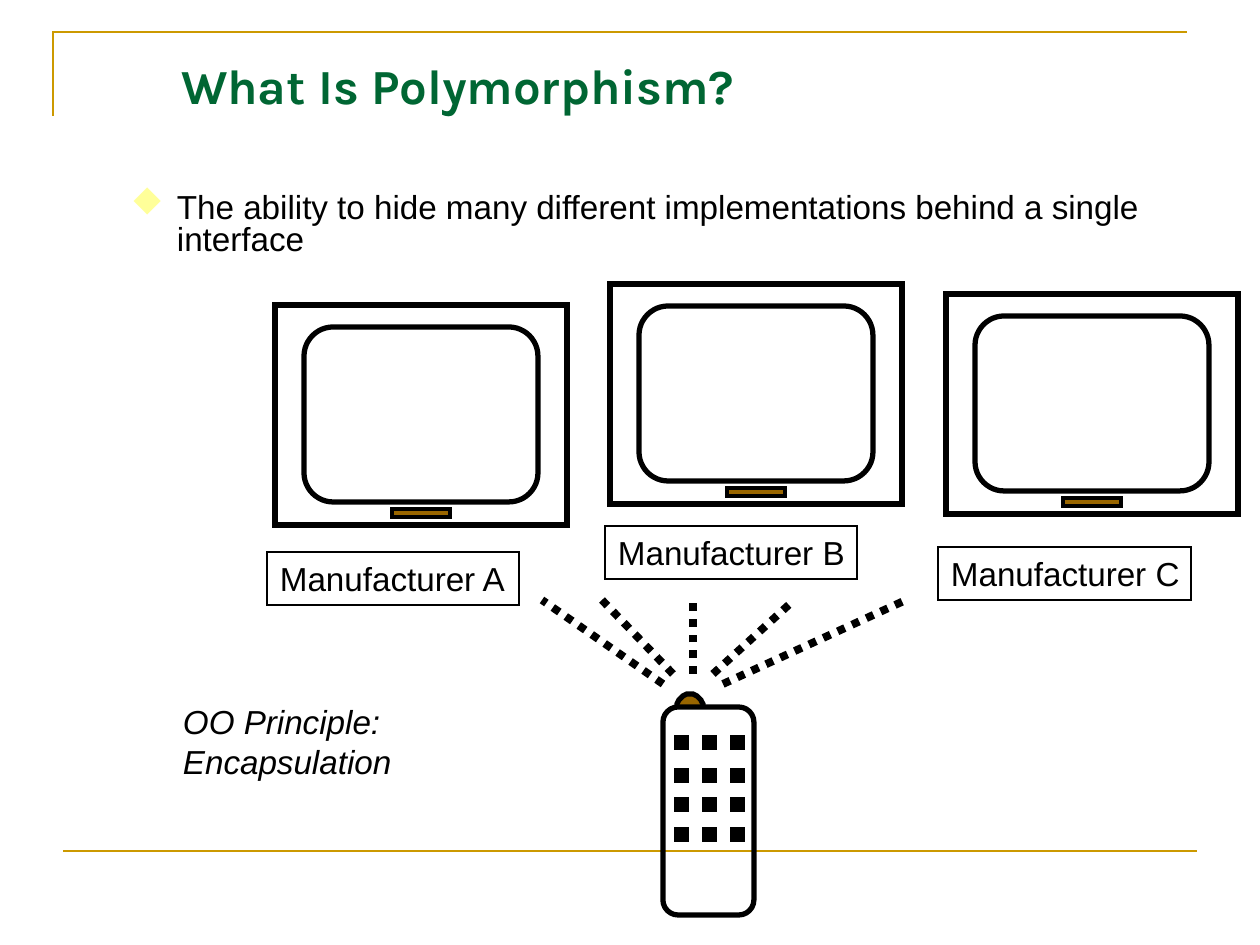
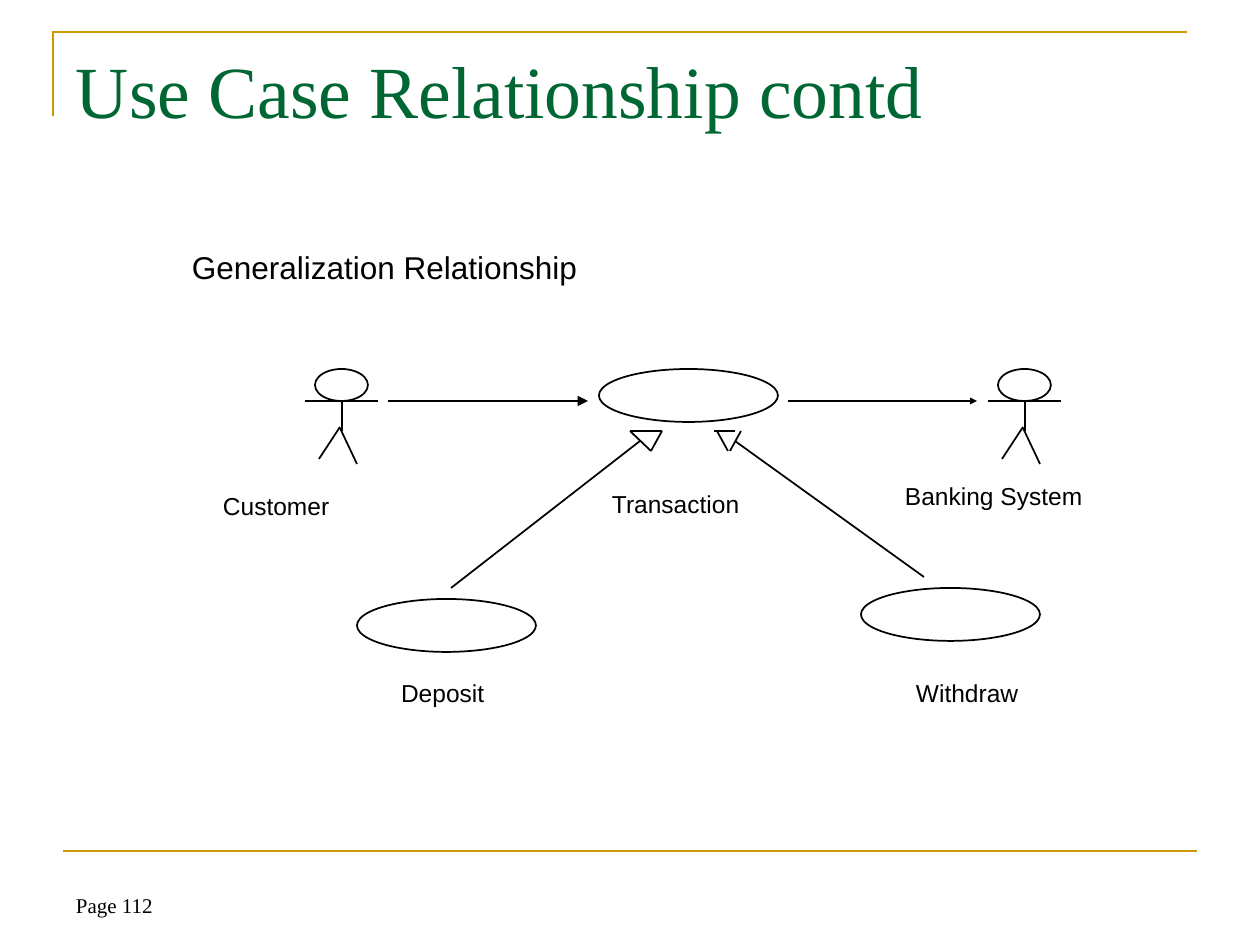
from math import cos, pi, sin
from lxml import etree
from pptx import Presentation
from pptx.dml.color import RGBColor
from pptx.enum import dml, shapes, text
from pptx.oxml.ns import qn

# Shared look
THEME = dict(
    ink="000000", paper="FFFFFF", title="006633", rule="CC9900",
    part="996600", bullet="FFFF99",
    sans="Arial", serif="Times New Roman", head="Karla", sign="Wingdings",
    big=42, mid=28, body=19, sub=18, label=14, foot=12,
    thin=1, edge=1.5, badge=2, bold=3, beam=4.5,
)
T = THEME
SCALE = 914400 / 126
GEO = shapes.MSO_SHAPE
ANCHOR = text.MSO_ANCHOR
DIAMOND = "u"  # the diamond's place in the symbol font

# Content of the polymorphism slide: lengths in px
POLY = "What Is Polymorphism?"
POINT = "The ability to hide many different implementations behind a single interface"
RULE = "OO Principle:\nEncapsulation"
SETS = [(275, 305), (610, 284), (946, 294)]
MAKERS = [
    ("Manufacturer A", (267, 552, 252, 53)),
    ("Manufacturer B", (605, 526, 252, 53)),
    ("Manufacturer C", (938, 547, 253, 53)),
]
BEAMS = [
    (663, 684, 542, 600), (693, 674, 693, 600), (723, 684, 906, 600),
    (673, 674, 602, 600), (713, 674, 792, 602),
]
KEY_X = [675 + 28 * col for col in range(3)]
KEY_Y = [736, 769, 798, 828]

# Content of the use case slide
CASE = "Use Case Relationship contd"
PAGE = "Page 112"
KIND = "Generalization Relationship"
ACTORS = [(315, 369), (998, 369)]
OVALS = [(599, 369), (861, 588), (357, 599)]
LABELS = [
    ("Customer", (210, 485, 262, 43)),
    ("Transaction", (599, 483, 189, 43)),
    ("Banking System", (892, 475, 262, 43)),
    ("Withdraw", (903, 672, 136, 43)),
    ("Deposit", (388, 672, 158, 43)),
]
ARROWS = [((388, 401, 588, 401), "med"), ((788, 401, 977, 401), "sm")]
LINKS = [
    (451, 588, 640, 441), (735, 441, 924, 577),
    (630, 431, 651, 451), (630, 431, 662, 431), (662, 431, 651, 451),
    (730, 451, 741, 431), (735, 431, 714, 431), (717, 431, 728, 451),
]


def px(*vals):
    return [round(v * SCALE) for v in vals]


def pt(size):
    return round(size * 12700)


def rgb(name):
    return RGBColor.from_string(T[name])


def paint(item, fill=None, line=None, width="thin"):
    """Set fill and line of a shape, or leave them empty."""
    item.shadow.inherit = False
    if fill:
        item.fill.solid()
        item.fill.fore_color.rgb = rgb(fill)
    else:
        item.fill.background()
    if line:
        item.line.color.rgb = rgb(line)
        item.line.width = pt(T[width])
        # Sharp corners
        etree.SubElement(item.element.spPr.find(qn("a:ln")), qn("a:miter"),
                         lim="800000")
    else:
        item.line.fill.background()
    return item


def shape(home, geo, box, **look):
    return paint(home.add_shape(geo, *px(*box)), **look)


def line(home, ends, color="ink", width="thin", dash=None, head=None):
    item = home.add_connector(shapes.MSO_CONNECTOR.STRAIGHT, *px(*ends))
    item.line.color.rgb = rgb(color)
    item.line.width = pt(T[width])
    if dash:
        item.line.dash_style = dash
    props = item.element.spPr
    if head:
        etree.SubElement(props.find(qn("a:ln")), qn("a:tailEnd"),
                         type="triangle", w=head, len=head)
    etree.SubElement(props, qn("a:effectLst"))
    return item


def write(item, words, size="body", font="sans", color="ink", bold=False,
          italic=False, anchor=ANCHOR.TOP, pad=(13, 6), top=None, wrap=True,
          bullet=None, space=None):
    """Put formatted text in a shape, text box or placeholder."""
    frame = item.text_frame
    frame.word_wrap = wrap
    frame.auto_size = text.MSO_AUTO_SIZE.NONE
    frame.vertical_anchor = anchor
    side, edge = px(*pad)
    frame.margin_left = frame.margin_right = side
    frame.margin_top = edge if top is None else px(top)[0]
    frame.margin_bottom = edge
    para = frame.paragraphs[0]
    para.alignment = text.PP_ALIGN.LEFT
    if bullet:
        props = para._p.get_or_add_pPr()
        props.set("marL", str(px(46)[0]))
        props.set("indent", str(px(-46)[0]))
        tint = etree.SubElement(props, qn("a:buClr"))
        etree.SubElement(tint, qn("a:srgbClr"), val=T["bullet"])
        etree.SubElement(props, qn("a:buFont"), typeface=T["sign"],
                         pitchFamily="2", charset="2")
        etree.SubElement(props, qn("a:buChar"), char=bullet)
    if space:
        para.line_spacing = space
    for i, part in enumerate(words.split("\n")):
        if i:
            para.add_line_break()
        run = para.add_run()
        run.text = part
        run.font.name, run.font.size = T[font], pt(T[size])
        run.font.bold, run.font.italic = bold, italic
        run.font.color.rgb = rgb(color)


def note(slide, words, box, **form):
    write(slide.shapes.add_textbox(*px(*box)), words, **form)


def head(slide, words, box, **form):
    item = slide.shapes.title
    item.left, item.top, item.width, item.height = px(*box)
    write(item, words, color="title", **form)


def frame(slide):
    """Draw the gold rules once and hand them to the layout."""
    path = slide.shapes.build_freeform(53, 116, scale=SCALE)
    path.add_line_segments([(53, 32), (1187, 32)], close=False)
    top = paint(path.convert_to_shape(), line="rule", width="edge")
    low = line(slide.shapes, (63, 851, 1197, 851), "rule", "edge")
    for item in (top, low):
        slide.slide_layout.shapes.element.append(item.element)


def screen(slide, x, y):
    """A television set: case, tube and badge."""
    home = slide.shapes.add_group_shape().shapes
    shape(home, GEO.RECTANGLE, (x, y, 292, 220), line="ink", width="bold")
    shape(home, GEO.ROUNDED_RECTANGLE, (x + 29, y + 22, 234, 175),
          line="ink", width="bold")
    shape(home, GEO.RECTANGLE, (x + 117, y + 204, 58, 8),
          fill="part", line="ink", width="badge")


def remote(slide):
    home = slide.shapes.add_group_shape().shapes
    arc = [(690 - 13 * cos(pi * i / 16), 707 - 13 * sin(pi * i / 16))
           for i in range(17)]
    dome = home.build_freeform(*arc[0], scale=SCALE)
    dome.add_line_segments(arc[1:], close=False)
    paint(dome.convert_to_shape(), fill="part", line="ink", width="bold")
    shape(home, GEO.ROUNDED_RECTANGLE, (663, 707, 91, 208),
          line="ink", width="bold")
    for y in KEY_Y:
        for x in KEY_X:
            shape(home, GEO.RECTANGLE, (x, y, 13, 13), fill="ink", line="ink")


def actor(slide, x, y):
    """A stick figure: head, arms, body and two legs."""
    home = slide.shapes.add_group_shape().shapes
    shape(home, GEO.OVAL, (x, y, 53, 32), fill="paper", line="ink")
    for x1, y1, x2, y2 in [(-10, 32, 63, 32), (27, 31, 27, 62),
                           (25, 58, 4, 90), (25, 59, 42, 95)]:
        line(home, (x + x1, y + y1, x + x2, y + y2))


def poly(slide):
    head(slide, POLY, (168, 48, 1082, 73), size="mid", font="head",
         bold=True, anchor=ANCHOR.MIDDLE)
    remote(slide)
    for x, y in SETS:
        screen(slide, x, y)
    for words, box in MAKERS:
        write(shape(slide.shapes, GEO.RECTANGLE, box, line="ink"),
              words, wrap=False)
    for ends in BEAMS:
        line(slide.shapes, ends, width="beam", dash=dml.MSO_LINE.ROUND_DOT)
    note(slide, RULE, (168, 693, 472, 95), italic=True, pad=(15, 8))
    note(slide, POINT, (116, 186, 1125, 696), pad=(15, 8),
         bullet=DIAMOND, space=0.8)


def case(slide):
    head(slide, CASE, (63, 38, 1134, 158), size="big", font="serif", top=7)
    note(slide, PAGE, (63, 861, 294, 63), size="foot", font="serif",
         anchor=ANCHOR.BOTTOM)
    for x, y in ACTORS:
        actor(slide, x, y)
    for x, y in OVALS:
        shape(slide.shapes, GEO.OVAL, (x, y, 179, 53), fill="paper", line="ink")
    for words, box in LABELS:
        write(shape(slide.shapes, GEO.RECTANGLE, box, fill="paper"),
              words, size="label")
    for ends, size in ARROWS:
        line(slide.shapes, ends, head=size)
    for ends in LINKS:
        line(slide.shapes, ends)
    write(shape(slide.shapes, GEO.RECTANGLE, (179, 242, 431, 50), fill="paper"),
          KIND, size="sub")


def main():
    deck = Presentation()
    deck.slide_width, deck.slide_height = px(1260, 945)
    plain = deck.slide_layouts[5]
    pages = [deck.slides.add_slide(plain) for _ in range(2)]
    frame(pages[0])
    for draw, slide in zip((poly, case), pages):
        draw(slide)
    deck.save("out.pptx")


if __name__ == "__main__":
    main()
